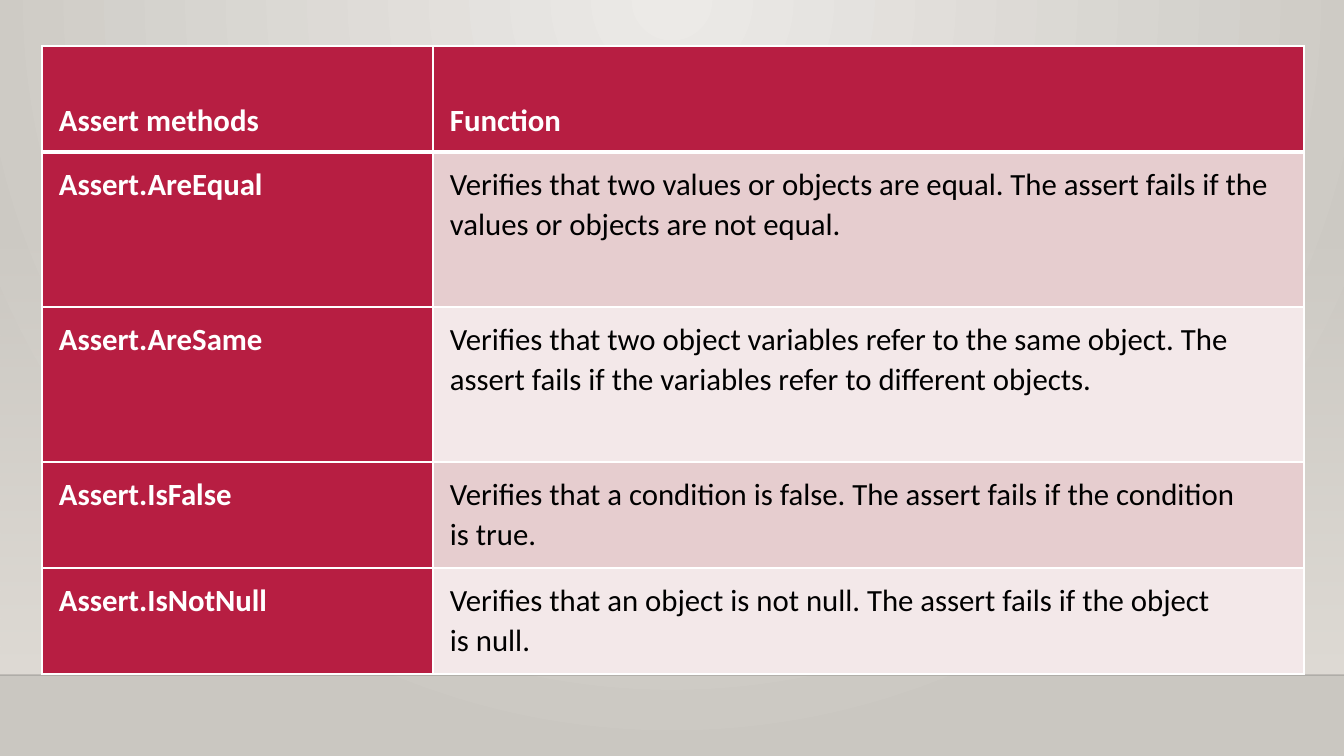
from lxml.etree import SubElement
from pptx import Presentation
from pptx.dml.color import RGBColor
from pptx.enum.shapes import MSO_CONNECTOR as CONNECTOR, MSO_SHAPE as SHAPE
from pptx.enum.text import MSO_ANCHOR as ANCHOR
from pptx.oxml import parse_xml
from pptx.oxml.ns import nsdecls, qn
from pptx.util import Emu, Pt

SCALE = 914400 / 100.8


def px(length):
    return Emu(round(length * SCALE))


def color(code):
    return RGBColor.from_string(code)


class SlideBuilder:
    font, size, spacing = "Calibri", 22, 1.07
    accent, white, black = "B71E42", "FFFFFF", "000000"
    bands = ("E6CDCF", "F3E8E9")
    inset_x, inset_y = 17, 12

    def __init__(self, page):
        self.page = page

    def gradient(self, solid, stops, shade):
        """Replace a solid fill with a gradient of (position, colour, opacity) stops."""
        stop_xml = "".join(
            f'<a:gs pos="{place * 1000}"><a:srgbClr val="{code}">'
            f'<a:alpha val="{opacity * 1000}"/></a:srgbClr></a:gs>'
            for place, code, opacity in stops)
        fill = parse_xml(f'<a:gradFill {nsdecls("a")} rotWithShape="1">'
                         f'<a:gsLst>{stop_xml}</a:gsLst>{shade}</a:gradFill>')
        solid.getparent().replace(solid, fill)

    def background(self, inner, outer):
        self.page.background.fill.solid()
        solid = self.page.element.find(".//" + qn("p:bgPr")).find(qn("a:solidFill"))
        self.gradient(solid, [(0, inner, 100), (100, outer, 100)],
                      '<a:path path="circle"><a:fillToRect l="43000" r="43000" '
                      'b="100000"/></a:path>')

    def fading_panel(self, left, top, width, height, code):
        panel = self.page.shapes.add_shape(
            SHAPE.RECTANGLE, px(left), px(top), px(width), px(height))
        panel.shadow.inherit = False
        panel.line.fill.background()
        panel.fill.solid()
        solid = panel.element.spPr.find(qn("a:solidFill"))
        self.gradient(solid, [(0, code, 0), (100, code, 100)],
                      '<a:lin ang="5400000" scaled="0"/>')

    def line(self, left, right, top, code, opacity):
        rule = self.page.shapes.add_connector(
            CONNECTOR.STRAIGHT, px(left), px(top), px(right), px(top))
        rule.line.width = Pt(1)
        rule.line.color.rgb = color(code)
        properties = rule.element.spPr
        paint = properties.find(".//" + qn("a:srgbClr"))
        SubElement(paint, qn("a:alpha")).set("val", str(opacity * 1000))
        SubElement(properties, qn("a:effectLst"))

    def borders(self, cell, top, bottom):
        properties = cell._tc.get_or_add_tcPr()
        widths = {"L": 1, "R": 1, "T": top, "B": bottom}
        for index, (side, width) in enumerate(widths.items()):
            properties.insert(index, parse_xml(
                f'<a:ln{side} {nsdecls("a")} w="{Pt(width)}"><a:solidFill>'
                f'<a:srgbClr val="{self.white}"/></a:solidFill></a:ln{side}>'))

    def cell(self, cell, text, row, column):
        strong = row == 0 or column == 0
        cell.fill.solid()
        cell.fill.fore_color.rgb = color(
            self.accent if strong else self.bands[(row - 1) % 2])
        cell.vertical_anchor = ANCHOR.BOTTOM if row == 0 else ANCHOR.TOP
        cell.margin_left = cell.margin_right = px(self.inset_x)
        cell.margin_top = cell.margin_bottom = px(self.inset_y)
        self.borders(cell, 3 if row == 1 else 1, 3 if row == 0 else 1)
        para = cell.text_frame.paragraphs[0]
        para.line_spacing = self.spacing
        span = para.add_run()
        span.text = text
        span.font.name = self.font
        span.font.size = Pt(self.size)
        span.font.bold = strong
        span.font.color.rgb = color(self.white if strong else self.black)

    def table(self, left, top, widths, heights, rows):
        table = self.page.shapes.add_table(
            len(heights), len(widths), px(left), px(top),
            px(sum(widths)), px(sum(heights))).table
        for column, width in zip(table.columns, widths):
            column.width = px(width)
        for row, height in zip(table.rows, heights):
            row.height = px(height)
        for row, texts in enumerate(rows):
            for column, text in enumerate(texts):
                self.cell(table.cell(row, column), text, row, column)


METHODS = [
    ("Assert methods", "Function"),
    ("Assert.AreEqual", "Verifies that two values or objects are equal. "
     "The assert fails if the values or objects are not equal."),
    ("Assert.AreSame", "Verifies that two object variables refer to the same object. "
     "The assert fails if the variables refer to different objects."),
    ("Assert.IsFalse", "Verifies that a condition is\u00a0false. "
     "The assert fails if the condition is\u00a0true."),
    ("Assert.IsNotNull", "Verifies that an object is not\u00a0null. "
     "The assert fails if the object is\u00a0null."),
]

deck = Presentation()
deck.slide_width, deck.slide_height = px(1344), px(756)
builder = SlideBuilder(deck.slides.add_slide(deck.slide_layouts[6]))

# Backdrop: radial glow, fading wall and floor line
builder.background("ECEAE7", "CAC7C1")
builder.fading_panel(0, 223, 1344, 452, "DFDBD5")
builder.line(0, 1344, 675, "000001", 20)

# Table of assert methods
builder.table(42, 46, [391, 871], [106, 155, 155, 106, 106], METHODS)

deck.save("out.pptx")
